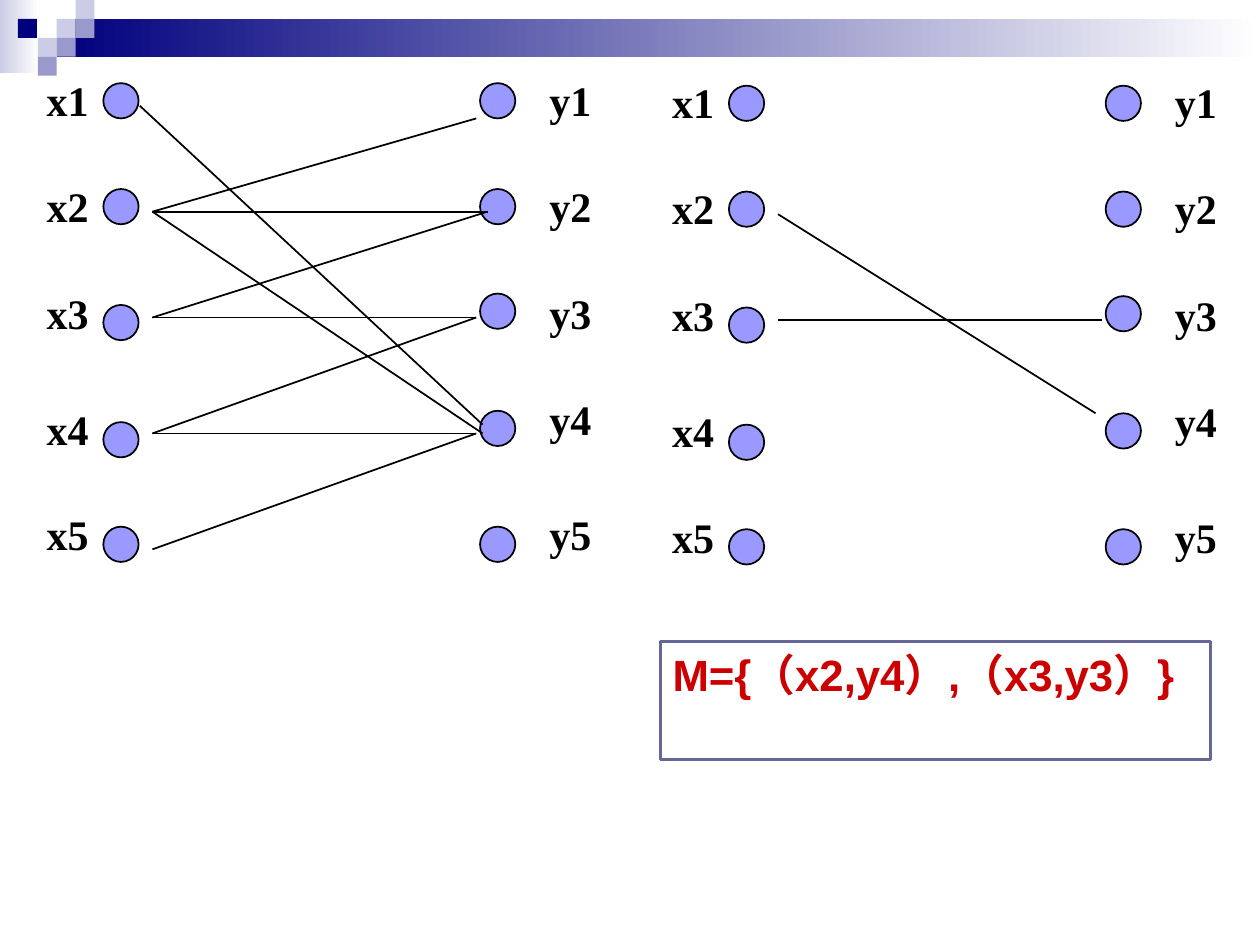
from pptx import Presentation
from pptx.dml.color import RGBColor
from pptx.enum.shapes import MSO_CONNECTOR as Connector, MSO_SHAPE as Shape
from pptx.enum.text import MSO_ANCHOR as Anchor, PP_ALIGN as Align
from pptx.oxml.ns import qn
from pptx.util import Inches, Pt
from lxml.etree import SubElement

# Grid of 100 columns by 75 rows over the slide
COLUMNS, ROWS = 100, 75
WIDTH, HEIGHT = Inches(10), Inches(7.5)

COLORS = {
    "navy": "00007D", "mid": "9999CC", "pale": "CCCCE6", "white": "FFFFFF",
    "node": "9999FF", "ink": "000000", "frame": "666699", "answer": "CC0000",
}
LABEL_FONT = {"name": "Times New Roman", "size": Pt(24), "bold": True}
ANSWER_FONT = {"name": "Arial", "size": Pt(25), "bold": True}
LABEL_INSETS = (0.2, 0.1)
ANSWER_INSETS = (1, 0.5)

# Graph layout, relative to the graph's top left corner
NODE_SIZE = 2.8
SIDES = {
    "x": {"label": 0, "node": 4.7,
          "label_rows": (0, 8.4, 16.9, 26.1, 34.5),
          "node_rows": (0.8, 9.2, 18.4, 27.7, 36)},
    "y": {"label": 39.9, "node": 34.6,
          "label_rows": (0, 8.4, 16.9, 25.3, 34.5),
          "node_rows": (0.8, 9.2, 17.5, 26.8, 36)},
}
PORTS = {
    "x1": (7.6, 2.6), "x2": (8.6, 11), "x3": (8.6, 19.4),
    "x4": (8.6, 28.6), "x5": (8.6, 37.8),
    "y1": (34.3, 3.6), "y2": (35.2, 11), "y3": (34.3, 19.4),
    "y4": (34.3, 28.6),
    "y4 upper": (34.8, 27.9), "y4 inner": (34.8, 28.6), "y4 outer": (33.8, 26.8),
}
ALL_EDGES = [
    ("x1", "y4 upper"), ("x2", "y1"), ("x2", "y2"), ("x2", "y4 inner"),
    ("x3", "y2"), ("x3", "y3"), ("x4", "y3"), ("x4", "y4"), ("x5", "y4"),
]
MATCHING = [("x2", "y4 outer"), ("x3", "y3")]


def across(columns):
    return round(WIDTH * columns / COLUMNS)


def down(rows):
    return round(HEIGHT * rows / ROWS)


def place(left, top, width, height):
    return across(left), down(top), across(width), down(height)


def color(name):
    return RGBColor.from_string(COLORS[name])


def set_line(item, name, points):
    item.line.color.rgb = color(name)
    item.line.width = Pt(points)


def add_filled(parent, kind, box, fill):
    item = parent.shapes.add_shape(kind, *place(*box))
    item.shadow.inherit = False
    if isinstance(fill, tuple):
        item.fill.gradient()
        item.fill.gradient_angle = 0
        for stop, name in zip(item.fill.gradient_stops, fill):
            stop.color.rgb = color(name)
    elif fill:
        item.fill.solid()
        item.fill.fore_color.rgb = color(fill)
    else:
        item.fill.background()
    item.line.fill.background()
    return item


def write(item, text, font, ink, insets):
    frame = item.text_frame
    side, end = across(insets[0]), down(insets[1])
    settings = {"word_wrap": True, "vertical_anchor": Anchor.TOP,
                "margin_left": side, "margin_right": side,
                "margin_top": end, "margin_bottom": end}
    for key, value in settings.items():
        setattr(frame, key, value)
    para = frame.paragraphs[0]
    para.alignment = Align.LEFT
    span = para.add_run()
    span.text = text
    for key, value in font.items():
        setattr(span.font, key, value)
    span.font.color.rgb = color(ink)


def add_banner(page, left, top):
    group = page.shapes.add_group_shape()
    # Fading bars
    add_filled(group, Shape.RECTANGLE, (left, top, 3.1, 5.8), ("pale", "white"))
    add_filled(group, Shape.RECTANGLE, (left + 4.5, top + 1.5, 95.5, 3),
               ("navy", "white"))
    # Mosaic of small squares
    tile = 1.5
    mosaic = [(3, 1, "pale"), (4, 0, "pale"), (4, 1, "mid"), (2, 2, "pale"),
              (0.95, 1, "navy"), (3, 2, "mid"), (2, 3, "mid")]
    for column, row, fill in mosaic:
        box = (left + column * tile, top + row * tile, tile, tile)
        add_filled(group, Shape.RECTANGLE, box, fill)


def add_graph(page, left, top, edges):
    group = page.shapes.add_group_shape()
    # Nodes
    for side in SIDES.values():
        for row in side["node_rows"]:
            box = (left + side["node"], top + row, NODE_SIZE, NODE_SIZE)
            set_line(add_filled(group, Shape.OVAL, box, "node"), "ink", 1)
    # Edges
    for start, end in edges:
        (x1, y1), (x2, y2) = PORTS[start], PORTS[end]
        edge = group.shapes.add_connector(
            Connector.STRAIGHT, across(left + x1), down(top + y1),
            across(left + x2), down(top + y2))
        set_line(edge, "ink", 1)
        SubElement(edge._element.spPr, qn("a:effectLst"))
    # Labels
    for letter, side in SIDES.items():
        for number, row in enumerate(side["label_rows"], 1):
            label = group.shapes.add_textbox(
                *place(left + side["label"], top + row, 5, 4.2))
            write(label, f"{letter}{number}", LABEL_FONT, "ink", LABEL_INSETS)


def add_answer(page, left, top, width, height):
    panel = add_filled(page, Shape.RECTANGLE, (left, top, width, height), None)
    set_line(panel, "frame", 1.5)
    write(panel, "M={（x2,y4）,（x3,y3）}", ANSWER_FONT, "answer", ANSWER_INSETS)


def main():
    deck = Presentation()
    deck.slide_width, deck.slide_height = WIDTH, HEIGHT
    page = deck.slides.add_slide(deck.slide_layouts[6])
    add_banner(page, 0, 0)
    add_graph(page, 3.5, 5.8, ALL_EDGES)
    add_graph(page, 53.15, 6, MATCHING)
    add_answer(page, 52.4, 50.9, 43.7, 9.4)
    deck.save("out.pptx")


if __name__ == "__main__":
    main()
